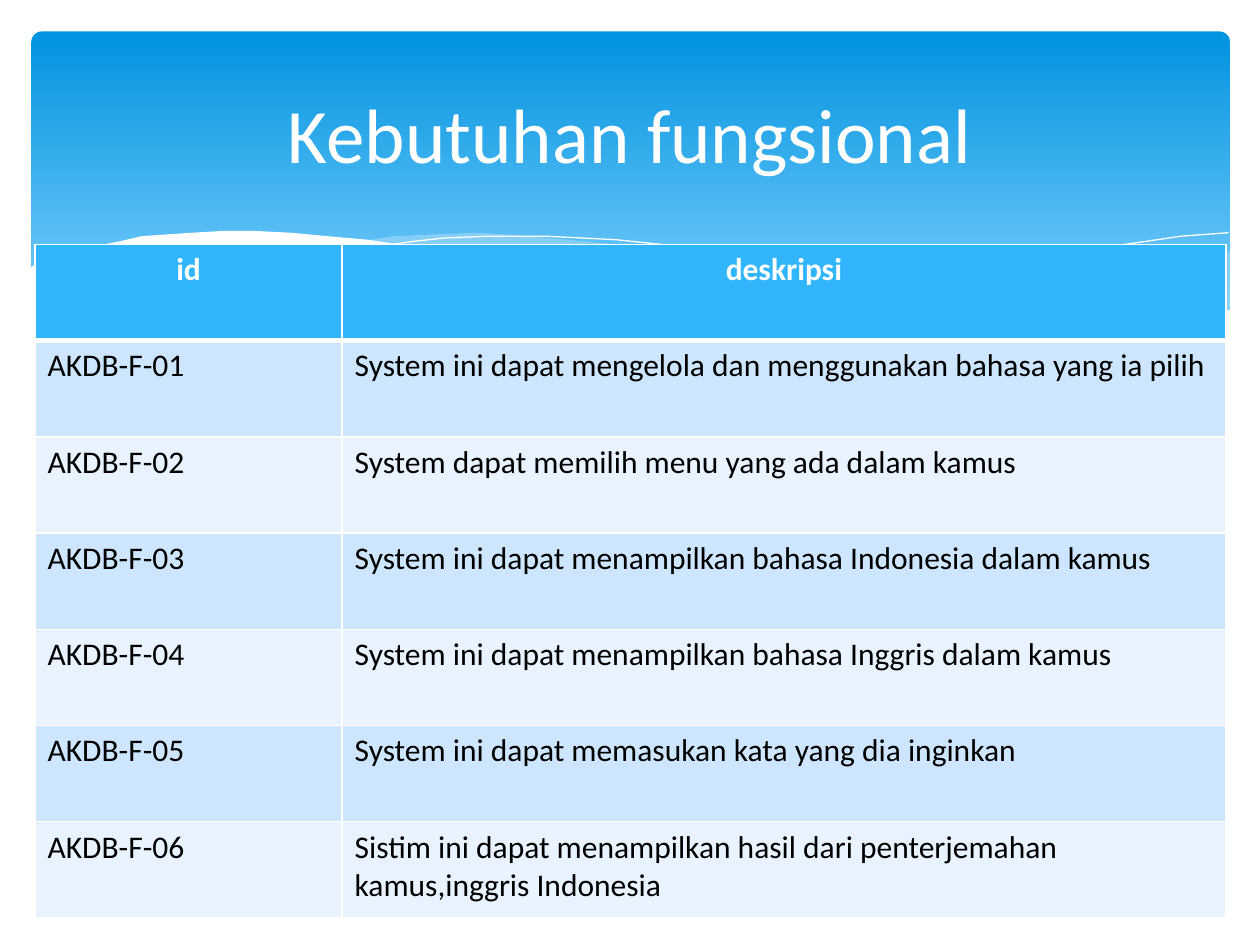
from dataclasses import dataclass

from lxml.etree import SubElement
from pptx import Presentation
from pptx.dml.color import RGBColor as Rgb
from pptx.enum.shapes import MSO_SHAPE as Preset
from pptx.enum.text import MSO_ANCHOR as Anchor, PP_ALIGN as Align
from pptx.oxml.ns import qn
from pptx.util import Pt


@dataclass(frozen=True)
class Theme:
    font: str = "Calibri"
    title_size: int = 44
    table_size: int = 18
    white: str = "FFFFFF"
    black: str = "000000"
    banner_top: str = "0293E0"
    banner_bottom: str = "83D3FE"
    wave: str = "C6E7FC"
    header: str = "31B6FD"
    bands: tuple = ("CEE5FE", "E8F3FF")


class Slide:
    def __init__(self, page, theme):
        self.page, self.theme = page, theme

    def add_span(self, para, text, size, color, bold=False, align=Align.LEFT):
        para.alignment = align
        span = para.add_run()
        span.text = text
        span.font.name, span.font.size, span.font.bold = self.theme.font, Pt(size), bold
        span.font.color.rgb = Rgb.from_string(color)

    def banner(self, left, top, width, height):
        box = self.page.shapes.add_shape(
            Preset.ROUNDED_RECTANGLE, Pt(left), Pt(top), Pt(width), Pt(height))
        box.adjustments[0] = 0.03
        box.shadow.inherit = False
        box.line.fill.background()
        box.fill.gradient()
        box.fill.gradient_angle = 270
        stops = zip(box.fill.gradient_stops, (0, 0.9),
                    (self.theme.banner_top, self.theme.banner_bottom))
        for stop, position, color in stops:
            stop.position = position
            stop.color.rgb = Rgb.from_string(color)

    def outline(self, points, closed):
        builder = self.page.shapes.build_freeform(*points[0], scale=Pt(1))
        builder.add_line_segments(points[1:], close=closed)
        shape = builder.convert_to_shape()
        shape.shadow.inherit = False
        return shape

    def wave(self, points, color, opacity=100):
        shape = self.outline(points, closed=True)
        shape.line.fill.background()
        shape.fill.solid()
        shape.fill.fore_color.rgb = Rgb.from_string(color)
        if opacity < 100:
            tint = shape.element.find(".//" + qn("a:srgbClr"))
            SubElement(tint, qn("a:alpha"), val=str(opacity * 1000))

    def hairline(self, points):
        shape = self.outline(points, closed=False)
        shape.fill.background()
        shape.line.color.rgb = Rgb.from_string(self.theme.white)
        shape.line.width = Pt(0)

    def title(self, text, left, top, width, height):
        box = self.page.shapes.add_textbox(Pt(left), Pt(top), Pt(width), Pt(height))
        frame = box.text_frame
        frame.word_wrap = True
        frame.vertical_anchor = Anchor.MIDDLE
        self.add_span(frame.paragraphs[0], text, self.theme.title_size,
                      self.theme.white, align=Align.CENTER)

    def borders(self, cell, top, bottom):
        props = cell._tc.get_or_add_tcPr()
        for side, width in (("L", 1), ("R", 1), ("T", top), ("B", bottom)):
            line = SubElement(props, qn("a:ln" + side), w=str(int(Pt(width))))
            fill = SubElement(line, qn("a:solidFill"))
            SubElement(fill, qn("a:srgbClr"), val=self.theme.white)

    def table(self, rows, left, top, widths, row_height):
        theme = self.theme
        grid = self.page.shapes.add_table(
            len(rows), len(widths), Pt(left), Pt(top),
            Pt(sum(widths)), Pt(row_height * len(rows))).table
        for column, width in zip(grid.columns, widths):
            column.width = Pt(width)
        for r, texts in enumerate(rows):
            heading = r == 0
            fill = theme.header if heading else theme.bands[(r - 1) % 2]
            for c, text in enumerate(texts):
                cell = grid.cell(r, c)
                # A heavier rule divides the header from the body
                self.borders(cell, 3 if r == 1 else 1, 3 if heading else 1)
                cell.fill.solid()
                cell.fill.fore_color.rgb = Rgb.from_string(fill)
                self.add_span(cell.text_frame.paragraphs[0], text, theme.table_size,
                              theme.white if heading else theme.black, heading,
                              Align.CENTER if heading else Align.LEFT)


RIGHT_SWELL = [
    (702.7, 144), (682.6, 147), (652, 153.4), (620, 160.6), (580, 170.6),
    (542, 178.6), (508, 185.4), (476, 190.8), (507.6, 195), (536.4, 198),
    (562, 199.4), (586, 200), (608, 199.4), (628, 197.3), (646, 194.4),
    (663, 190.8), (678, 186.5), (693.4, 181.4), (702.7, 177.8)]
MIDDLE_SWELL = [
    (643, 196.6), (602.6, 190.8), (558, 183), (508, 172.8), (453, 159.8),
    (420.5, 152), (389.5, 146), (361.4, 141), (334.8, 137.5), (302.4, 134.6),
    (273.6, 133.2), (247.7, 134), (225.4, 135.4), (206, 137.5), (232.6, 141),
    (260.6, 146), (291, 152), (323.3, 159.8), (381.6, 172.8), (432.7, 183.6),
    (478.8, 191.5), (520.6, 196.6), (556.6, 199.4), (589, 200), (617, 199.4)]
LEFT_CREST = [
    (222.5, 140.4), (236, 138.2), (254, 136), (278.6, 134.6), (311.8, 134.6),
    (352, 136.8), (400, 141.8), (458, 149.8), (523.4, 162.7), (598, 180.7),
    (653, 195.8)]
RIGHT_CREST = [
    (441.4, 185), (470, 177), (518.4, 165), (580, 151.2), (634, 141),
    (675.4, 135.4), (702, 133.2)]
WHITE_WAVE = [
    (703.4, 177), (676.8, 186.5), (647, 193.7), (612, 198), (571, 199.4),
    (522.7, 196.6), (466.6, 188.6), (399.6, 176.4), (321.8, 158.4), (262.8, 145.4),
    (230, 139.7), (210, 136.8), (187, 134.6), (165.6, 133.2), (146, 132.5),
    (127.4, 132.5), (110, 133), (95, 134), (81, 135.4), (68.4, 137.5),
    (48.2, 141.8), (33, 146.2), (21, 151.2), (16.6, 153.4), (16.6, 237), (703.4, 237)]

REQUIREMENTS = [
    "System ini dapat mengelola dan menggunakan bahasa yang ia pilih",
    "System dapat memilih menu yang ada dalam kamus",
    "System ini dapat menampilkan bahasa Indonesia dalam kamus",
    "System ini dapat menampilkan bahasa Inggris dalam kamus",
    "System ini dapat memasukan kata yang dia inginkan",
    "Sistim ini dapat menampilkan hasil dari penterjemahan kamus,inggris Indonesia",
]


def main():
    deck = Presentation()
    deck.slide_width, deck.slide_height = Pt(720), Pt(540)
    theme = Theme()
    slide = Slide(deck.slides.add_slide(deck.slide_layouts[6]), theme)

    # Banner with waves
    slide.banner(18, 18, 684.7, 194.4)
    slide.wave(RIGHT_SWELL, theme.wave, 29)
    slide.wave(MIDDLE_SWELL, theme.wave, 40)
    slide.hairline(LEFT_CREST)
    slide.hairline(RIGHT_CREST)
    slide.wave(WHITE_WAVE, theme.white)

    # Requirements table
    rows = [("id", "deskripsi")]
    rows += [(f"AKDB-F-{n:02}", text) for n, text in enumerate(REQUIREMENTS, 1)]
    slide.table(rows, 20, 139.6, (175.5, 505), 55)

    # Title
    slide.title("Kebutuhan fungsional", 36, 26.6, 648, 98.6)

    deck.save("out.pptx")


if __name__ == "__main__":
    main()
